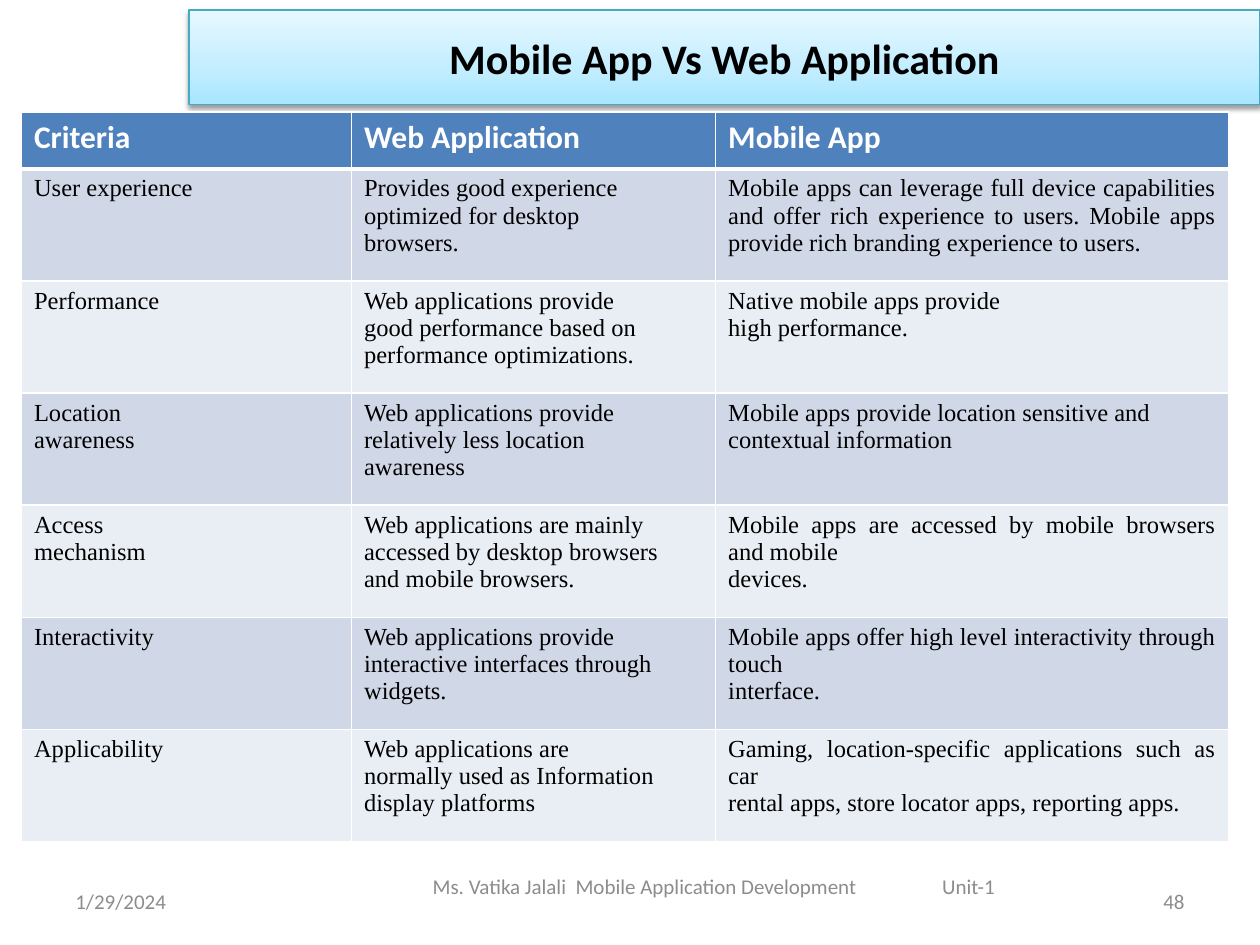
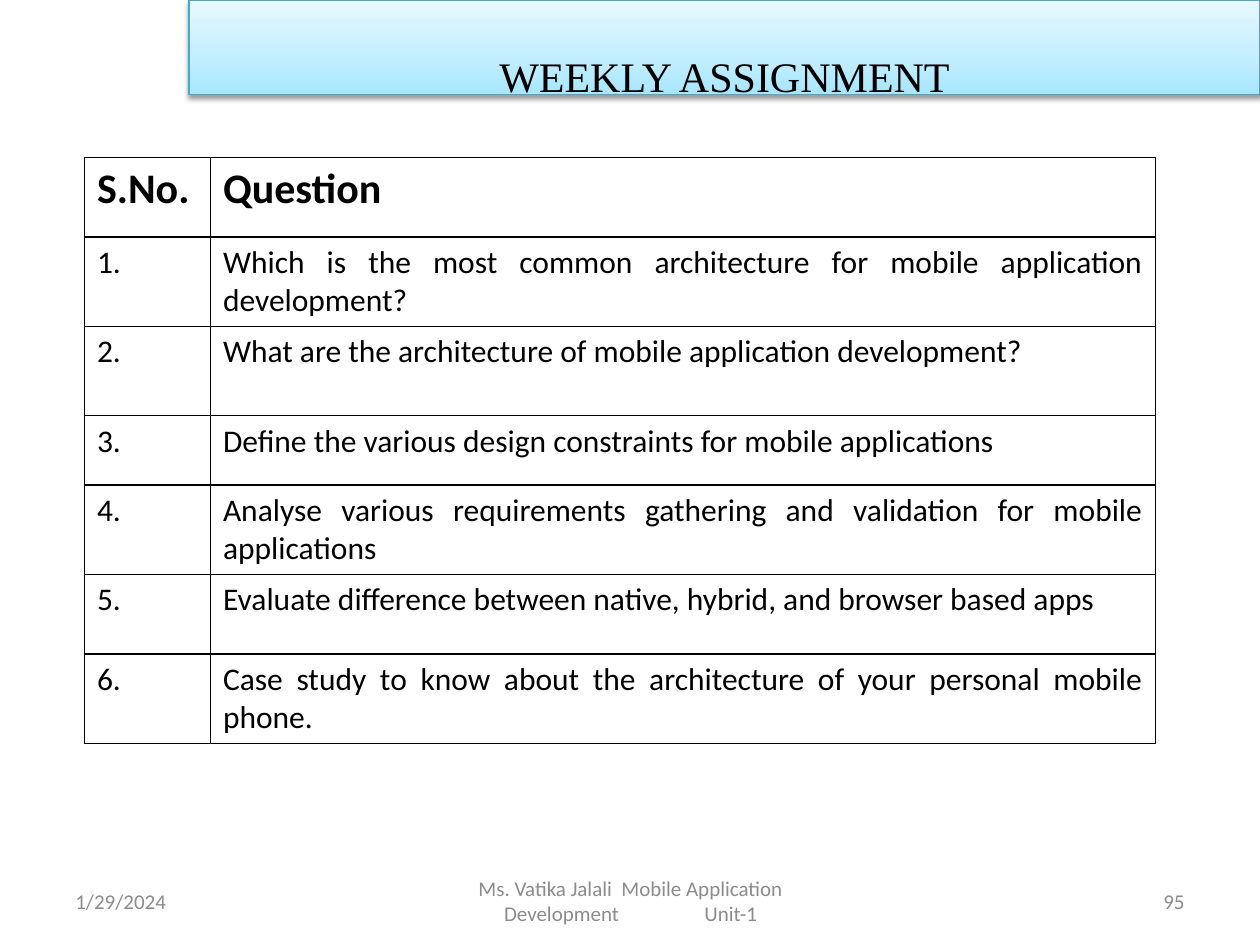
from dataclasses import dataclass
import copy

import pptx
import pptx.dml.color
import pptx.enum.shapes
import pptx.enum.text
import pptx.oxml
import pptx.oxml.ns
import pptx.util
from lxml import etree

Inches = pptx.util.Inches
Pt = pptx.util.Pt
ALIGN = pptx.enum.text.PP_ALIGN
MIDDLE = pptx.enum.text.MSO_ANCHOR.MIDDLE
qn = pptx.oxml.ns.qn


@dataclass(frozen=True)
class Theme:
    sans: str = "Calibri"
    serif: str = "Times New Roman"
    black: str = "000000"
    white: str = "FFFFFF"
    footer_gray: str = "8C8C8C"
    header_blue: str = "4F81BD"
    row_bands: tuple = ("D0D8E8", "E9EDF4")
    band_line: str = "46AAC5"
    band_stops: tuple = ((0, "A7E6FF"), (0.35, "C1EDFF"), (1, "E7F8FF"))
    title_size: int = 24
    header_size: int = 18
    body_size: int = 14
    question_size: int = 18
    footer_size: int = 12


THEME = Theme()


@dataclass(frozen=True)
class TextStyle:
    size: int
    font: str = THEME.sans
    color: str = THEME.black
    bold: bool = False
    align: ALIGN = ALIGN.LEFT


@dataclass(frozen=True)
class TableStyle:
    header: TextStyle
    body: tuple          # one text style per column
    border: str
    header_rule: float = 1
    header_fill: str = ""
    bands: tuple = ("",)


DATE = "1/29/2024"
FOOTER_PARTS = ("Ms. Vatika Jalali  Mobile Application Development", "Unit-1")
FOOTER_GAP = 46  # points added to the space before the unit

COMPARISON = [
    ("Criteria", "Web Application", "Mobile App"),
    ("User experience",
     "Provides good experience\noptimized for desktop\nbrowsers.",
     "Mobile apps can leverage full device capabilities and offer rich "
     "experience to users. Mobile apps provide rich branding experience to users."),
    ("Performance",
     "Web applications provide\ngood performance based on\nperformance optimizations.",
     "Native mobile apps provide\nhigh performance."),
    ("Location\nawareness",
     "Web applications provide\nrelatively less location\nawareness",
     "Mobile apps provide location sensitive and\ncontextual information"),
    ("Access\nmechanism",
     "Web applications are mainly\naccessed by desktop browsers\nand mobile browsers.",
     "Mobile apps are accessed by mobile browsers and mobile\ndevices."),
    ("Interactivity",
     "Web applications provide\ninteractive interfaces through\nwidgets.",
     "Mobile apps offer high level interactivity through touch\ninterface."),
    ("Applicability",
     "Web applications are\nnormally used as Information\ndisplay platforms",
     "Gaming, location-specific applications such as car\n"
     "rental apps, store locator apps, reporting apps."),
]

QUESTIONS = [
    "Which is the most common architecture for mobile application development?",
    "What are the architecture of mobile application development?",
    "Define the various design constraints for mobile applications",
    "Analyse various requirements gathering and validation for mobile applications",
    "Evaluate difference between native, hybrid, and browser based apps",
    "Case study to know about the architecture of your personal mobile phone.",
]


def rgb(color):
    return pptx.dml.color.RGBColor.from_string(color)


# Text
def add_run(paragraph, text, style):
    paragraph.alignment = style.align
    run = paragraph.add_run()
    run.text = text
    run.font.name = style.font
    run.font.size = Pt(style.size)
    run.font.bold = style.bold
    run.font.color.rgb = rgb(style.color)
    return run


def write_lines(text_frame, text, style):
    for index, line in enumerate(text.split("\n")):
        paragraph = text_frame.add_paragraph() if index else text_frame.paragraphs[0]
        add_run(paragraph, line, style)


def add_text_box(slide, left, top, width):
    box = slide.shapes.add_textbox(Inches(left), Inches(top), Inches(width), Inches(0.4))
    box.text_frame.word_wrap = True
    box.text_frame.vertical_anchor = MIDDLE
    return box.text_frame.paragraphs[0]


# Footer: date, course with unit, page number
def add_footer(slide, number, left, top, width):
    def style(align):
        return TextStyle(THEME.footer_size, color=THEME.footer_gray, align=align)

    add_run(add_text_box(slide, 0.5, 6.95, 2.33), DATE, style(ALIGN.LEFT))
    add_run(add_text_box(slide, 7.17, 6.95, 2.33), str(number), style(ALIGN.RIGHT))
    course, unit = FOOTER_PARTS
    paragraph = add_text_box(slide, left, top, width)
    add_run(paragraph, course, style(ALIGN.CENTER))
    gap = add_run(paragraph, " ", style(ALIGN.CENTER))
    gap.font._element.set("spc", str(FOOTER_GAP * 100))
    add_run(paragraph, unit, style(ALIGN.CENTER))


# Title band with gradient and soft shadow
def fill_with_gradient(shape, stops):
    shape.fill.gradient()
    shape.fill.gradient_angle = 90
    first = shape.fill.gradient_stops[0]._gs
    first.addnext(copy.deepcopy(first))
    for stop, (position, color) in zip(shape.fill.gradient_stops, stops):
        stop.position = position
        stop.color.rgb = rgb(color)


def add_shadow(shape):
    shape.shadow.inherit = False
    effects = shape._element.spPr.find(qn("a:effectLst"))
    shadow = etree.SubElement(
        effects, qn("a:outerShdw"), blurRad=str(Pt(3.1)), dist=str(Pt(1.6)),
        dir="5400000", rotWithShape="0")
    color = etree.SubElement(shadow, qn("a:srgbClr"), val=THEME.black)
    etree.SubElement(color, qn("a:alpha"), val="38000")


def add_title_band(slide, title, top, style, inset_top=0.05, inset_bottom=0.05):
    band = slide.shapes.add_shape(
        pptx.enum.shapes.MSO_SHAPE.RECTANGLE,
        Inches(1.5), Inches(top), Inches(8.5), Inches(0.75))
    fill_with_gradient(band, THEME.band_stops)
    band.line.color.rgb = rgb(THEME.band_line)
    band.line.width = Pt(0.75)
    add_shadow(band)
    frame = band.text_frame
    frame.word_wrap = True
    frame.vertical_anchor = MIDDLE
    frame.margin_top = Inches(inset_top)
    frame.margin_bottom = Inches(inset_bottom)
    add_run(frame.paragraphs[0], title, style)


# Tables
def set_borders(cell, color, top, bottom):
    properties = cell._tc.get_or_add_tcPr()
    for side, width in (("L", 1), ("R", 1), ("T", top), ("B", bottom)):
        line = etree.SubElement(properties, qn(f"a:ln{side}"), w=str(Pt(width)))
        fill = etree.SubElement(line, qn("a:solidFill"))
        etree.SubElement(fill, qn("a:srgbClr"), val=color)


def set_fill(cell, color):
    if color:
        cell.fill.solid()
        cell.fill.fore_color.rgb = rgb(color)
    else:
        cell.fill.background()


def add_table(slide, rows, left, top, widths, heights, style):
    frame = slide.shapes.add_table(
        len(rows), len(widths), Inches(left), Inches(top),
        Inches(sum(widths)), Inches(sum(heights)))
    table = frame.table
    table.first_row = table.horz_banding = False
    for column, width in zip(table.columns, widths):
        column.width = Inches(width)
    for row_index, (texts, height) in enumerate(zip(rows, heights)):
        table.rows[row_index].height = Inches(height)
        is_header = row_index == 0
        band = style.bands[(row_index - 1) % len(style.bands)]
        for column_index, text in enumerate(texts):
            cell = table.cell(row_index, column_index)
            set_borders(cell, style.border,
                        top=style.header_rule if row_index == 1 else 1,
                        bottom=style.header_rule if is_header else 1)
            set_fill(cell, style.header_fill if is_header else band)
            write_lines(cell.text_frame, text,
                        style.header if is_header else style.body[column_index])


# Slides
def build_comparison(slide):
    add_footer(slide, 48, 3.08, 6.83, 5.17)
    add_title_band(slide, "Mobile App Vs Web Application", 0.08,
                   TextStyle(THEME.title_size, bold=True, align=ALIGN.CENTER))
    body = TextStyle(THEME.body_size, THEME.serif, align=ALIGN.JUSTIFY)
    style = TableStyle(
        header=TextStyle(THEME.header_size, color=THEME.white, bold=True),
        body=(body,) * 3, border=THEME.white, header_rule=3,
        header_fill=THEME.header_blue, bands=THEME.row_bands)
    add_table(slide, COMPARISON, 0.17, 0.89, (2.62, 2.89, 4.07),
              (0.45,) + (0.89,) * 6, style)


def build_assignment(slide):
    add_footer(slide, 95, 3.42, 6.95, 3.17)
    add_title_band(slide, "WEEKLY ASSIGNMENT", 0,
                   TextStyle(THEME.title_size, THEME.serif, align=ALIGN.CENTER),
                   inset_top=0.45, inset_bottom=0)
    rows = [("S.No.", "Question")]
    rows += [(f"{number}.", question) for number, question in enumerate(QUESTIONS, 1)]
    style = TableStyle(
        header=TextStyle(THEME.title_size, bold=True),
        body=(TextStyle(THEME.question_size),
              TextStyle(THEME.question_size, align=ALIGN.JUSTIFY)),
        border=THEME.black)
    add_table(slide, rows, 0.67, 1.25, (1, 7.5),
              (0.63, 0.71, 0.71, 0.55, 0.71, 0.63, 0.71), style)


def main():
    presentation = pptx.Presentation()
    presentation.slide_width = Inches(10)
    presentation.slide_height = Inches(7.5)
    blank = presentation.slide_layouts[6]
    for build in (build_comparison, build_assignment):
        build(presentation.slides.add_slide(blank))
    presentation.save("out.pptx")


if __name__ == "__main__":
    main()
